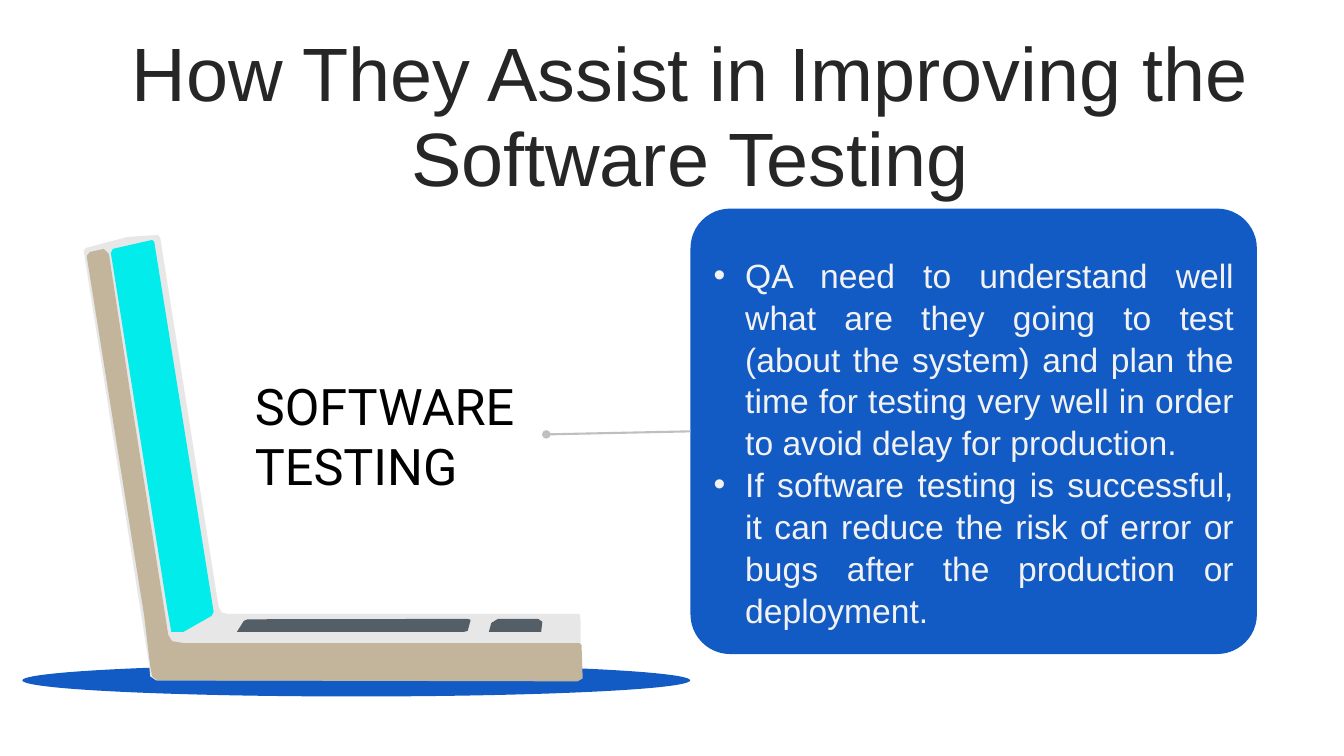
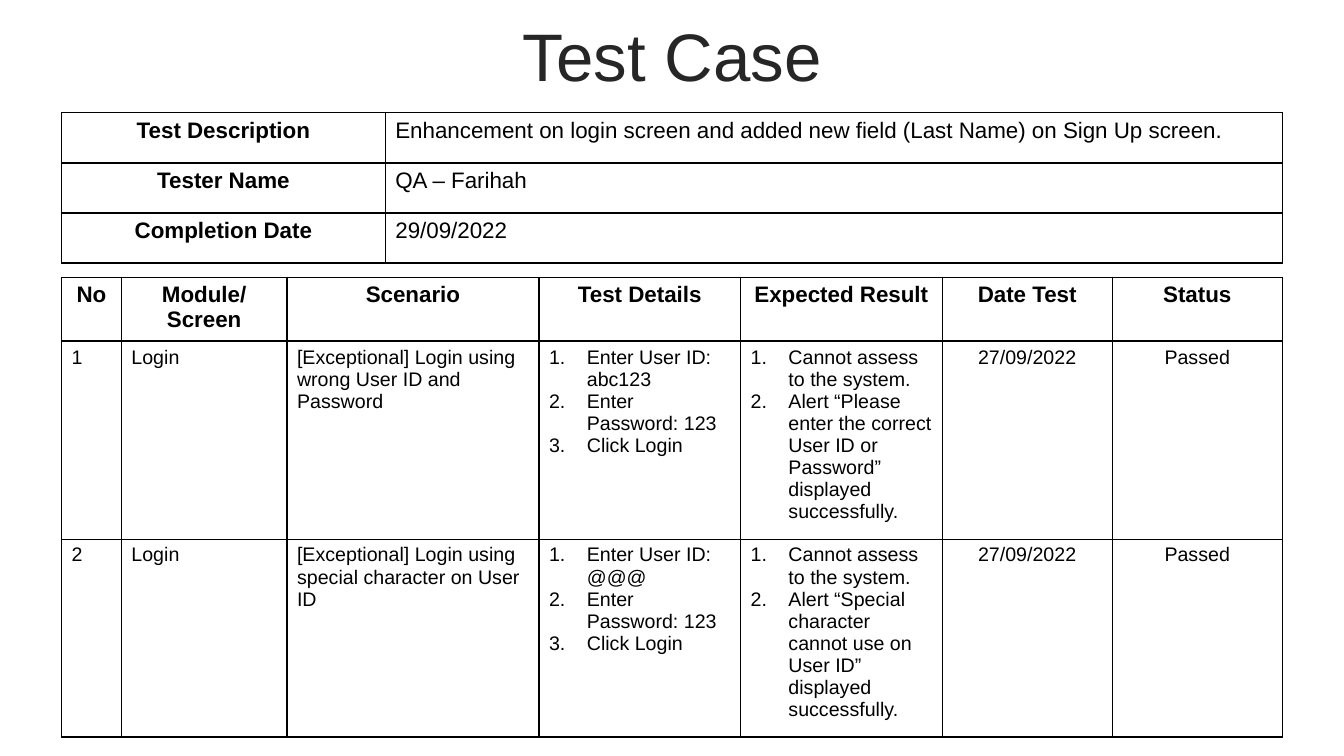
from lxml import etree
from pptx import Presentation
from pptx.dml.color import RGBColor
from pptx.enum.shapes import MSO_CONNECTOR, MSO_SHAPE
from pptx.enum.text import MSO_ANCHOR, MSO_AUTO_SIZE, PP_ALIGN
from pptx.oxml.ns import qn
from pptx.util import Pt

LEFT, CENTER, JUSTIFY = PP_ALIGN.LEFT, PP_ALIGN.CENTER, PP_ALIGN.JUSTIFY
MIDDLE, TOP = MSO_ANCHOR.MIDDLE, MSO_ANCHOR.TOP
NO_FIT = MSO_AUTO_SIZE.NONE
OVAL, ROUNDED = MSO_SHAPE.OVAL, MSO_SHAPE.ROUNDED_RECTANGLE
STRAIGHT = MSO_CONNECTOR.STRAIGHT

COLORS = {
    "title": "262626", "text": "000000", "panel_text": "F2F2F2",
    "blue": "125AC4", "link": "BFBFBF", "white": "FFFFFF",
    "shell": "E8E7E7", "side": "C2B59B", "screen": "02ECEC", "keys": "545E67",
}
RGB = {name: RGBColor.from_string(value) for name, value in COLORS.items()}


def style(p, size, color="text", align=LEFT, font="Arial", bold=False):
    p.alignment = align
    for r in p.runs:
        r.font.size = Pt(size)
        r.font.name = font
        r.font.bold = bold
        r.font.color.rgb = RGB[color]


def add_grid(s, left, top, widths, heights, rows, header_row, header_col, centered, numbered):
    """Add a ruled table; header cells are bold, numbered columns hold lists."""
    table = s.shapes.add_table(len(rows), len(widths), Pt(left), Pt(top),
                               Pt(sum(widths)), Pt(sum(heights))).table
    table.first_row = header_row
    table.horz_banding = False
    for col, width in zip(table.columns, widths):
        col.width = Pt(width)
    for i, (row, height) in enumerate(zip(rows, heights)):
        table.rows[i].height = Pt(height)
        for j, text in enumerate(row):
            cell = table.cell(i, j)
            is_header = (header_row and i == 0) or (header_col and j == 0)
            cell.text_frame.text = text
            for p in cell.text_frame.paragraphs:
                size = 14 if header_row and not is_header else 16
                style(p, size, bold=is_header,
                      align=CENTER if is_header or j in centered else LEFT)
                if j in numbered and not is_header:
                    pPr = p._p.get_or_add_pPr()
                    pPr.set("marL", str(Pt(27)))
                    pPr.set("indent", str(Pt(-27)))
                    etree.SubElement(pPr, qn("a:buAutoNum"), type="arabicPeriod")
            tcPr = cell._tc.get_or_add_tcPr()
            for side in ("lnL", "lnR", "lnT", "lnB"):
                thick = header_row and i == 0 and side == "lnB"
                ln = etree.SubElement(tcPr, qn("a:" + side), w=str(Pt(2 if thick else 1)))
                line_fill = etree.SubElement(ln, qn("a:solidFill"))
                etree.SubElement(line_fill, qn("a:srgbClr"), val=COLORS["text"])
            cell.fill.solid()
            cell.fill.fore_color.rgb = RGB["white"]


prs = Presentation()
prs.slide_width, prs.slide_height = Pt(960), Pt(540)

# Slides and their titles: layout, text, size, box
TITLES = [
    (1, "How They Assist in Improving the Software Testing", 54, (70.5, 63.4, 844.5, 42.5)),
    (5, "Test Case", 48, (24.5, 13.7, 911.5, 56.9)),
]
for layout, text, size, box in TITLES:
    s = prs.slides.add_slide(prs.slide_layouts[layout])
    title = s.shapes.title
    title.left, title.top, title.width, title.height = map(Pt, box)
    tf = title.text_frame
    tf.text = text
    tf.auto_size = NO_FIT
    tf.vertical_anchor = MIDDLE
    p = tf.paragraphs[0]
    p.line_spacing = 0.94
    p.space_before = Pt(10)
    style(p, size, "title", CENTER)
intro, cases = prs.slides

# Slide 1: laptop on its base
base = intro.shapes.add_shape(OVAL, Pt(16), Pt(474.5), Pt(477), Pt(23))
base.shadow.inherit = False
base.fill.solid()
base.fill.fore_color.rgb = RGB["blue"]
base.line.fill.background()

LAPTOP = [
    ("shell", [(414.7, 442.8), (414, 438.5), (162.7, 438.5), (158.4, 437.5), (156.2, 433.4),
               (154.8, 424.8), (114.5, 169.9), (113, 167.8), (91.4, 169.2), (61.2, 177.1),
               (59.8, 179.3), (106.6, 475.2), (107.3, 483.1), (111.6, 486), (411.1, 486),
               (414.7, 483.8)]),
    ("side", [(415.4, 460.8), (416.2, 484.6), (412.6, 486.7), (112.3, 486), (108.7, 483.1),
              (107.3, 475.9), (103, 439.9), (87.1, 340.6), (61.9, 182.9), (64.1, 180),
              (74.2, 177.8), (77.8, 181.4), (95, 293.8), (117.4, 435.6), (120.2, 453.6),
              (123, 458), (131, 459.4), (414, 459.4)]),
    ("screen", [(152.6, 437), (151.2, 439.9), (131, 451.4), (122.4, 451.4), (119.5, 434.9),
                (79.2, 180.7), (80.6, 177.8), (108.7, 171.4), (110.2, 172.8)]),
    ("keys", [(169.2, 451.4), (174.2, 443.5), (177, 442.4), (334.1, 442.1), (336.2, 442.8),
              (334.1, 450.7), (331.2, 451.4)]),
    ("keys", [(349.2, 451.4), (351, 445), (355.7, 442.1), (384.5, 442.1), (387.4, 444.2),
              (386.6, 451.4)]),
]
laptop = intro.shapes.add_group_shape()
for color, points in LAPTOP:
    outline = [(Pt(x), Pt(y)) for x, y in points]
    builder = laptop.shapes.build_freeform(*outline[0])
    builder.add_line_segments(outline[1:], close=True)
    sp = builder.convert_to_shape()
    sp.shadow.inherit = False
    sp.fill.solid()
    sp.fill.fore_color.rgb = RGB[color]
    sp.line.fill.background()

# Slide 1: panel and the line leading to it
panel = intro.shapes.add_shape(ROUNDED, Pt(493.2), Pt(149), Pt(404.6), Pt(318.2))
panel.adjustments[0] = 0.089
panel.shadow.inherit = False
panel.fill.solid()
panel.fill.fore_color.rgb = RGB["blue"]
panel.line.fill.background()

link = intro.shapes.add_connector(STRAIGHT, Pt(390.2), Pt(310.3), Pt(493.2), Pt(308.1))
link.end_connect(panel, 1)
link.line.color.rgb = RGB["link"]
link.line.width = Pt(1.5)
etree.SubElement(link.line._get_or_add_ln(), qn("a:headEnd"), type="oval")
etree.SubElement(link._element.spPr, qn("a:effectLst"))

# Slide 1: label and bullet list
label = intro.shapes.add_textbox(Pt(175), Pt(264.2), Pt(223.2), Pt(94.3))
tf = label.text_frame
tf.word_wrap = True
tf.text = "SOFTWARE TESTING"
style(tf.paragraphs[0], 36, font="Roboto")

body = intro.placeholders[1]
body.left, body.top, body.width, body.height = Pt(502.6), Pt(177.1), Pt(385.9), Pt(269.3)
intro.shapes._spTree.append(body._element)  # in front of the panel
tf = body.text_frame
tf.text = "\n".join([
    "QA need to understand well what are they going to test (about the system) and plan "
    "the time for testing very well in order to avoid delay for production.",
    "If software testing is successful, it can reduce the risk of error or bugs after "
    "the production or deployment.",
])
tf.auto_size = NO_FIT
tf.vertical_anchor = TOP
for p in tf.paragraphs:
    style(p, 24, "panel_text", JUSTIFY)
    p.space_before = Pt(0)
    p.line_spacing = 1.04
    pPr = p._p.get_or_add_pPr()
    pPr.set("marL", str(Pt(22.5)))
    pPr.set("indent", str(Pt(-22.5)))

# Slide 2: test cases and summary
DETAILS = "Enter User ID: {}\nEnter Password: 123\nClick Login"
RESULT = "Cannot assess to the system.\nAlert “{}” displayed successfully."
CASES = [
    ("wrong User ID and Password", "abc123", "Please enter the correct User ID or Password"),
    ("special character on User ID", "@@@", "Special character cannot use on User ID"),
]
rows = [["No", "Module/ Screen", "Scenario", "Test Details", "Expected Result",
         "Date Test", "Status"]]
for number, (scenario, user_id, alert) in enumerate(CASES, 1):
    rows.append([str(number), "Login", "[Exceptional] Login using " + scenario,
                 DETAILS.format(user_id), RESULT.format(alert), "27/09/2022", "Passed"])
add_grid(cases, 44, 198, [42.7, 118.3, 180, 144, 144, 121.5, 121.5], [45.7, 141.4, 141.4],
         rows, header_row=True, header_col=False, centered=(5, 6), numbered=(3, 4))

SUMMARY = [
    ("Test Description",
     "Enhancement on login screen and added new field (Last Name) on Sign Up screen."),
    ("Tester Name", "QA – Farihah"),
    ("Completion Date", "29/09/2022"),
]
add_grid(cases, 44, 80.6, [231.2, 640.8], [35.8] * 3, SUMMARY,
         header_row=False, header_col=True, centered=(), numbered=())

prs.save("out.pptx")
